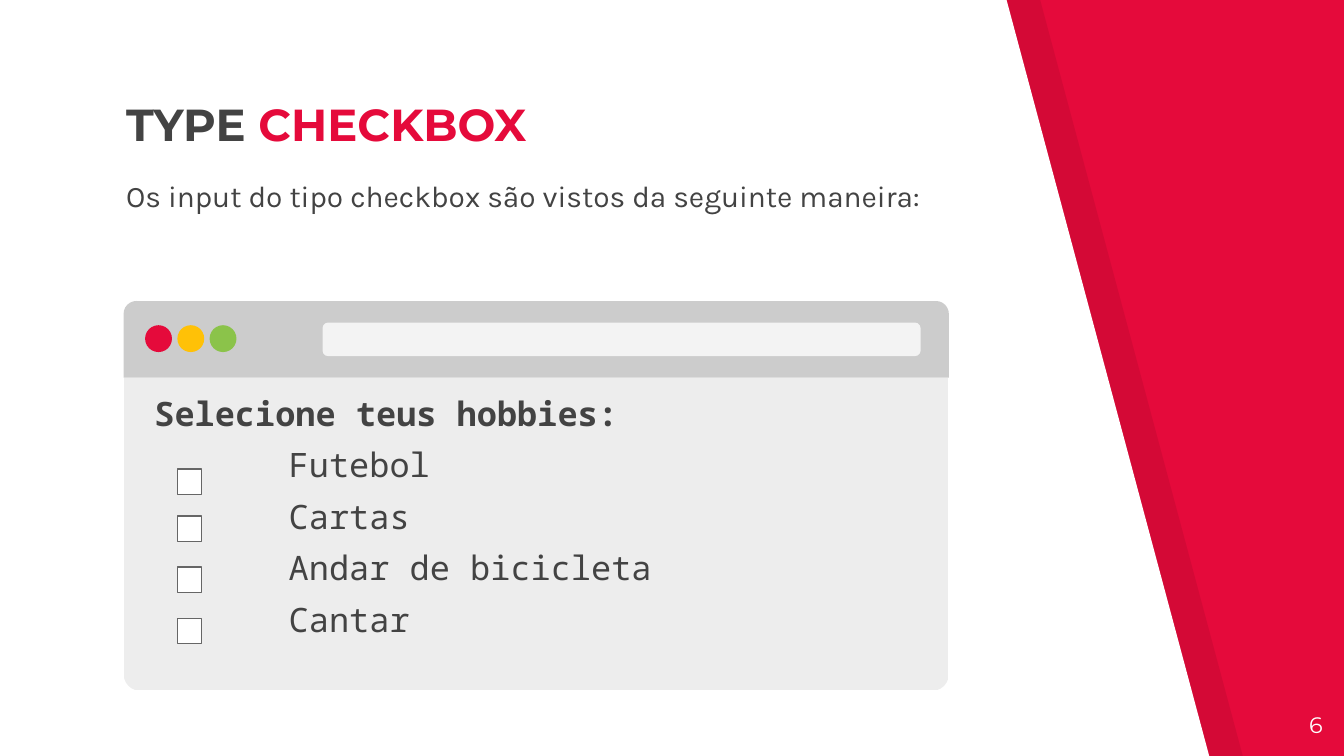
import pptx
import pptx.util
import pptx.dml.color
import pptx.enum.shapes
import pptx.enum.text
import lxml.etree

# Content
TITLE = [("TYPE ", "ink"), ("CHECKBOX", "red")]
INTRO = "Os input do tipo checkbox são vistos da seguinte maneira:"
QUESTION = "Selecione teus hobbies:"
HOBBIES = [("Futebol", 3.49), ("Cartas", 3.84),
           ("Andar de bicicleta", 4.22), ("Cantar", 4.6)]  # label, box top
PAGE_NUMBER = "6"
COLORS = {"red": "E50A3B", "yellow": "FFC107", "green": "8BC34A",
          "ink": "434343", "white": "FFFFFF", "black": "000000",
          "bar": "CCCCCC", "address": "F3F3F3", "outline": "666666"}
BUTTONS = ["red", "yellow", "green"]

# Layout, in inches
WIDTH = 10
HEIGHT = WIDTH * 9 / 16
BLEED = 0.01
PANEL_TOP, PANEL_BOTTOM = 7.49, 9  # right edge of the white panel
BAND = 0.25
TEXT_LEFT = 0.84
WINDOW_LEFT, WINDOW_TOP, WINDOW_WIDTH = 0.92, 2.24, 6.14
BAR_HEIGHT, BODY_HEIGHT = 0.57, 2.33
BODY_TOP = WINDOW_TOP + BAR_HEIGHT
BUTTON, BUTTON_STEP = 0.2, 0.24
SHADE_ALPHA = 7

SHAPES = pptx.enum.shapes.MSO_SHAPE
ALIGN = pptx.enum.text.PP_ALIGN
ANCHOR = pptx.enum.text.MSO_ANCHOR
inches, points = pptx.util.Inches, pptx.util.Pt

presentation = pptx.Presentation()
presentation.slide_width, presentation.slide_height = inches(WIDTH), inches(HEIGHT)
slide = presentation.slides.add_slide(presentation.slide_layouts[6])


def rgb(name):
    return pptx.dml.color.RGBColor.from_string(COLORS[name])


def paint(shape, fill=None, line=None, alpha=None):
    shape.shadow.inherit = False
    if fill:
        shape.fill.solid()
        shape.fill.fore_color.rgb = rgb(fill)
    else:
        shape.fill.background()
    if alpha:
        color = shape.fill._xPr.find(".//" + pptx.oxml.ns.qn("a:srgbClr"))
        lxml.etree.SubElement(color, pptx.oxml.ns.qn("a:alpha"), val=str(alpha * 1000))
    if line:
        shape.line.color.rgb = rgb(line)
        shape.line.width = points(0.75)
    else:
        shape.line.fill.background()


def add_shape(kind, left, top, width, height, adjustments=(), **style):
    shape = slide.shapes.add_shape(kind, *map(inches, (left, top, width, height)))
    for index, value in enumerate(adjustments):
        shape.adjustments[index] = value
    paint(shape, **style)
    return shape


def add_panel(left, **style):
    builder = slide.shapes.build_freeform(inches(left), inches(-BLEED), scale=1)
    corners = [(left, HEIGHT + BLEED), (left + PANEL_BOTTOM, HEIGHT + BLEED),
               (left + PANEL_TOP, 0)]
    builder.add_line_segments([(inches(x), inches(y)) for x, y in corners], close=True)
    paint(builder.convert_to_shape(), **style)


def add_text(left, top, width, height, anchor=ANCHOR.TOP):
    frame = slide.shapes.add_textbox(*map(inches, (left, top, width, height))).text_frame
    frame.word_wrap = True
    frame.vertical_anchor = anchor
    frame.margin_left = frame.margin_right = inches(0.1)
    frame.margin_top = frame.margin_bottom = inches(0.1)
    return frame


def set_font(paragraph, name, size, color=None, bold=False):
    font = paragraph.font
    font.name, font.size, font.bold = name, points(size), bold
    if color:
        font.color.rgb = rgb(color)


# Background and slanted panels
slide.background.fill.solid()
slide.background.fill.fore_color.rgb = rgb("red")
add_panel(BAND, fill="black", alpha=SHADE_ALPHA)
add_panel(0, fill="white")

# Page number
paragraph = add_text(9.34, 5.19, 0.6, 0.43).paragraphs[0]
paragraph.text = PAGE_NUMBER
paragraph.alignment = ALIGN.RIGHT
set_font(paragraph, "Montserrat", 12, "white")

# Title and introduction
paragraph = add_text(TEXT_LEFT, 0.77, 5.25, 0.45, ANCHOR.BOTTOM).paragraphs[0]
set_font(paragraph, "Montserrat", 24, bold=True)
for text, color in TITLE:
    run = paragraph.add_run()
    run.text = text
    run.font.color.rgb = rgb(color)

paragraph = add_text(TEXT_LEFT, 1.22, 6.79, 1.12).paragraphs[0]
paragraph.text = INTRO
set_font(paragraph, "Karla", 16, "ink")

# Browser window
body = add_shape(SHAPES.ROUND_2_SAME_RECTANGLE, WINDOW_LEFT, BODY_TOP, WINDOW_WIDTH,
                 BODY_HEIGHT, (0.053, 0), fill="black", alpha=SHADE_ALPHA)
body.rotation = 180
add_shape(SHAPES.RECTANGLE, WINDOW_LEFT, BODY_TOP, WINDOW_WIDTH, BODY_HEIGHT, line="white")
add_shape(SHAPES.ROUND_2_SAME_RECTANGLE, WINDOW_LEFT, WINDOW_TOP, WINDOW_WIDTH,
          BAR_HEIGHT, (0.167, 0), fill="bar")
for index, color in enumerate(BUTTONS):
    add_shape(SHAPES.OVAL, 1.08 + index * BUTTON_STEP, 2.42, BUTTON, BUTTON, fill=color)
add_shape(SHAPES.ROUNDED_RECTANGLE, 2.4, 2.4, 4.45, 0.25, (0.167,), fill="address")

# Question, options and checkboxes
frame = add_text(1.05, 2.82, 4.12, 1.12)
frame.paragraphs[0].text = QUESTION
set_font(frame.paragraphs[0], "Noto Sans Mono", 18, "ink", bold=True)
for label, top in HOBBIES:
    paragraph = frame.add_paragraph()
    paragraph.text = label
    paragraph.space_before = points(6)
    paragraph._p.get_or_add_pPr().set("marL", str(inches(1)))
    set_font(paragraph, "Noto Sans Mono", 18, "ink")
    add_shape(SHAPES.RECTANGLE, 1.32, top, 0.18, 0.19, fill="white", line="outline")

presentation.save("out.pptx")
